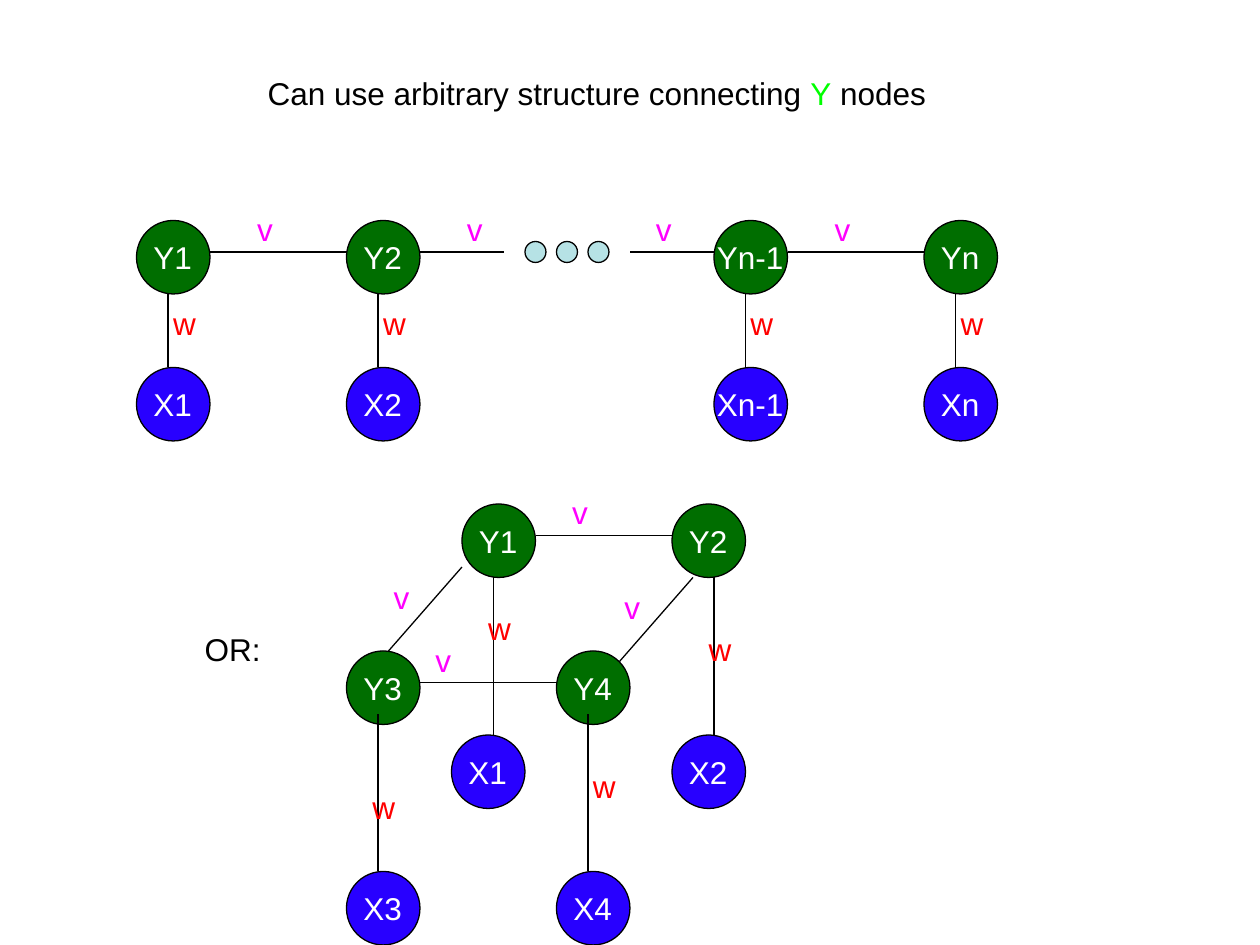
from lxml import etree
from pptx import Presentation
from pptx.dml.color import RGBColor
from pptx.enum.shapes import MSO_CONNECTOR as Connector, MSO_SHAPE as Shape
from pptx.enum.text import MSO_ANCHOR as Anchor, MSO_AUTO_SIZE as AutoSize, PP_ALIGN as Align
from pptx.oxml.ns import qn
from pptx.util import Inches, Pt

BLACK = RGBColor(0x00, 0x00, 0x00)
WHITE = RGBColor(0xFF, 0xFF, 0xFF)
LIME = RGBColor(0x00, 0xFF, 0x00)
RED = RGBColor(0xFF, 0x00, 0x00)
MAGENTA = RGBColor(0xFF, 0x00, 0xFF)
GREEN = RGBColor(0x00, 0x6E, 0x00)
BLUE = RGBColor(0x28, 0x00, 0xFF)
PALE = RGBColor(0xB6, 0xE2, 0xE5)

NODE_SIZE = 7
CHAIN = {13: "1", 33: "2", 68: "n-1", 88: "n"}
CHAIN_EDGES = [(20, 24, 33, 24), (40, 24, 48, 24), (68, 24, 60, 24), (75, 24, 88, 24)]
CHAIN_V = [(24, 20), (44, 20), (62, 20), (79, 20)]
MESH = [
    ("Y1", 44, 48), ("Y2", 64, 48), ("Y3", 33, 62), ("Y4", 53, 62),
    ("X3", 33, 83), ("X4", 53, 83), ("X1", 43, 70), ("X2", 64, 70),
]
MESH_EDGES = [
    (51, 51, 64, 51), (40, 65, 53, 65), (44, 54, 37, 62), (66, 55, 59, 63),
    (47, 70, 47, 55), (36, 83, 36, 68), (56, 83, 56, 68), (68, 70, 68, 55),
]
MESH_W = [(35, 75), (46, 58), (67, 60), (56, 73)]
MESH_V = [(54, 47), (59, 56), (37, 55), (41, 61)]


def grid(*steps):
    """Turn steps of a twelfth of an inch into lengths."""
    return [Inches(step / 12) for step in steps]


class GraphPage:
    """Style and current slide, with a method for each kind of element."""

    font = {"name": "Arial", "size": Pt(18)}
    text_frame = {"margin_left": Inches(0.04), "margin_top": 0,
                  "margin_right": Inches(0.04), "margin_bottom": 0, "word_wrap": True}
    node_frame = {"margin_left": Inches(0.08), "margin_top": Inches(0.04),
                  "margin_right": Inches(0.09), "margin_bottom": Inches(0.04),
                  "word_wrap": False, "vertical_anchor": Anchor.MIDDLE,
                  "auto_size": AutoSize.SHAPE_TO_FIT_TEXT}
    text_para = {"space_before": Pt(10.5)}
    node_para = {"alignment": Align.CENTER}

    def __init__(self, page):
        self.page = page

    def apply(self, target, values):
        for name, value in values.items():
            setattr(target, name, value)

    def fill_text(self, box, spans, frame, para_style):
        self.apply(box.text_frame, frame)
        para = box.text_frame.paragraphs[0]
        self.apply(para, para_style)
        for text, color in spans:
            span = para.add_run()
            span.text = text
            self.apply(span.font, self.font)
            span.font.color.rgb = color

    def outline(self, line):
        line.color.rgb = BLACK
        line.width = Pt(0.75)

    def text(self, left, top, width, *spans):
        box = self.page.shapes.add_textbox(*grid(left, top, width), Inches(0.39))
        self.fill_text(box, spans, self.text_frame, self.text_para)

    def weights(self, letter, color, places):
        for left, top in places:
            self.text(left, top, 12, (letter, color))

    def circle(self, shapes, left, top, size, fill):
        circle = shapes.add_shape(Shape.OVAL, *grid(left, top, size, size))
        circle.shadow.inherit = False
        circle.fill.solid()
        circle.fill.fore_color.rgb = fill
        self.outline(circle.line)
        return circle

    def node(self, name, left, top):
        group = self.page.shapes.add_group_shape()
        fill = GREEN if name.startswith("Y") else BLUE
        circle = self.circle(group.shapes, left, top, NODE_SIZE, fill)
        width = Inches(0.48 if len(name) == 2 else 0.7)
        label_left = circle.left + (circle.width - width) // 2
        box = group.shapes.add_textbox(
            label_left, circle.top + Inches(0.1), width, Inches(0.38))
        self.fill_text(box, [(name, WHITE)], self.node_frame, self.node_para)

    def edge(self, *ends):
        edge = self.page.shapes.add_connector(Connector.STRAIGHT, *grid(*ends))
        self.outline(edge.line)
        etree.SubElement(edge._element.spPr, qn("a:effectLst"))


def main():
    deck = Presentation()
    deck.slide_width, deck.slide_height = Inches(10), Inches(7.5)
    graph = GraphPage(deck.slides.add_slide(deck.slide_layouts[6]))

    graph.text(25, 7, 80, ("Can use arbitrary structure connecting ", BLACK),
               ("Y", LIME), (" nodes", BLACK))

    for left, index in CHAIN.items():
        graph.node(f"Y{index}", left, 21)
        graph.node(f"X{index}", left, 35)
        graph.edge(left + 3, 28, left + 3, 35)
    for ends in CHAIN_EDGES:
        graph.edge(*ends)
    graph.weights("w", RED, [(left + 3, 29) for left in CHAIN])
    graph.weights("v", MAGENTA, CHAIN_V)
    for left in range(50, 57, 3):
        graph.circle(graph.page.shapes, left, 23, 2, PALE)

    for name, left, top in MESH:
        graph.node(name, left, top)
    for ends in MESH_EDGES:
        graph.edge(*ends)
    graph.weights("w", RED, MESH_W)
    graph.weights("v", MAGENTA, MESH_V)
    graph.text(19, 60, 20, ("OR:", BLACK))

    deck.save("out.pptx")


if __name__ == "__main__":
    main()
